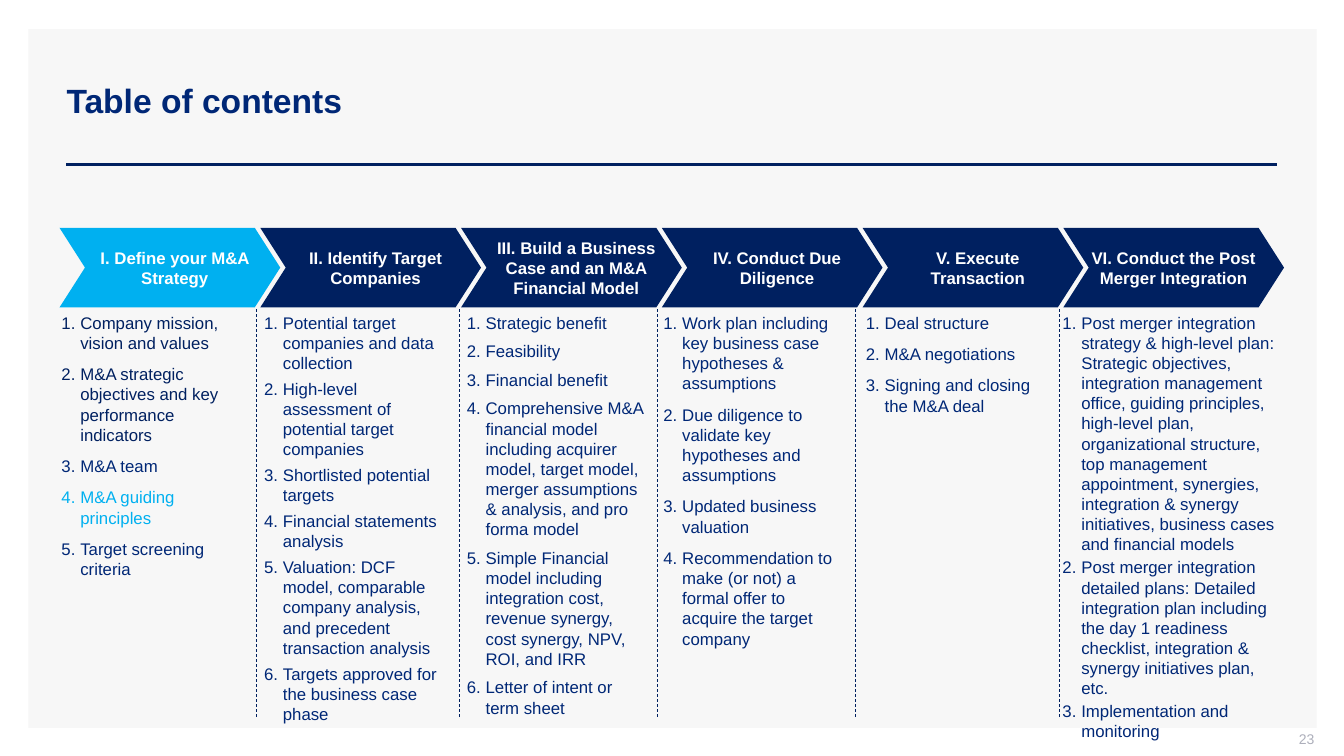
from dataclasses import dataclass

import lxml.etree
import pptx
import pptx.dml.color
import pptx.enum.dml
import pptx.enum.shapes
import pptx.enum.text
import pptx.oxml.ns
import pptx.util

Pt = pptx.util.Pt
Align = pptx.enum.text.PP_ALIGN
Anchor = pptx.enum.text.MSO_ANCHOR
AutoSize = pptx.enum.text.MSO_AUTO_SIZE
Preset = pptx.enum.shapes.MSO_SHAPE
qn = pptx.oxml.ns.qn


@dataclass(frozen=True)
class Theme:
    font: str = "Arial"
    panel: str = "F7F7F7"
    navy: str = "002060"
    blue: str = "002776"
    accent: str = "00B0F0"
    white: str = "FFFFFF"
    grey: str = "ADAFBB"
    title_size: int = 24
    text_size: int = 12
    number_size: int = 10


THEME = Theme()


def rgb(code):
    return pptx.dml.color.RGBColor.from_string(code)


def write(paragraph, text, *, color, size=THEME.text_size, bold=False,
          align=Align.LEFT, before=0, after=0, numbered=False):
    properties = paragraph._p.get_or_add_pPr()
    if numbered:
        properties.set("marL", str(Pt(13.5)))
        properties.set("indent", str(Pt(-13.5)))
        lxml.etree.SubElement(properties, qn("a:buFont"), typeface=THEME.font)
        lxml.etree.SubElement(properties, qn("a:buAutoNum"), type="arabicPeriod")
    paragraph.alignment = align
    paragraph.space_before = Pt(before)
    paragraph.space_after = Pt(after)
    run = paragraph.add_run()
    run.text = text
    run.font.name = THEME.font
    run.font.size = Pt(size)
    run.font.bold = bold
    run.font.color.rgb = rgb(color)


class SlideBuilder:
    def __init__(self, slide, theme):
        self.slide = slide
        self.theme = theme
        self.bodies = [holder for holder in slide.placeholders
                       if holder.placeholder_format.idx != 0]

    def place(self, shape, left, top, width, height):
        shape.left, shape.top = Pt(left), Pt(top)
        shape.width, shape.height = Pt(width), Pt(height)

    def frame(self, shape, insets, anchor):
        frame = shape.text_frame
        frame.word_wrap = True
        frame.vertical_anchor = anchor
        (frame.margin_left, frame.margin_top,
         frame.margin_right, frame.margin_bottom) = map(Pt, insets)
        return frame

    def block(self, preset, left, top, width, height, fill):
        block = self.slide.shapes.add_shape(
            preset, Pt(left), Pt(top), Pt(width), Pt(height))
        block.shadow.inherit = False
        block.fill.solid()
        block.fill.fore_color.rgb = rgb(fill)
        block.line.fill.background()
        return block

    def panel(self, left, top, width, height):
        """Draw the backdrop behind the placeholders."""
        panel = self.block(Preset.RECTANGLE, left, top, width, height, self.theme.panel)
        panel.element.getparent().insert(2, panel.element)

    def line(self, start, end, weight, dash=None):
        line = self.slide.shapes.add_connector(
            pptx.enum.shapes.MSO_CONNECTOR.STRAIGHT, *map(Pt, start + end))
        line.line.color.rgb = rgb(self.theme.navy)
        line.line.width = Pt(weight)
        if dash:
            line.line.dash_style = dash
        lxml.etree.SubElement(line.element.spPr, qn("a:effectLst"))

    def title(self, text, left, top, width, height):
        title = self.slide.shapes.title
        self.place(title, left, top, width, height)
        frame = self.frame(title, (7.2, 3.6, 7.2, 3.6), Anchor.MIDDLE)
        frame.auto_size = AutoSize.NONE
        write(frame.paragraphs[0], text, color=self.theme.blue,
              size=self.theme.title_size, bold=True)

    def chevron(self, text, left, top, width, height, fill, inset):
        chevron = self.block(Preset.CHEVRON, left, top, width, height, fill)
        chevron.adjustments[0] = 0.32
        frame = self.frame(chevron, (inset, 3.6, 0, 3.6), Anchor.MIDDLE)
        write(frame.paragraphs[0], text, color=self.theme.white,
              bold=True, align=Align.CENTER)

    def numbered_list(self, items, left, top, width, height, gap):
        """Fill the next body placeholder, or a text box once all are used."""
        if self.bodies:
            body = self.bodies.pop(0)
        else:
            body = self.slide.shapes.add_textbox(0, 0, 0, 0)
        self.place(body, left, top, width, height)
        frame = self.frame(body, (0, 3.6, 7.2, 3.6), Anchor.TOP)
        frame.auto_size = AutoSize.SHAPE_TO_FIT_TEXT
        for index, (text, color) in enumerate(items):
            paragraph = frame.add_paragraph() if index else frame.paragraphs[0]
            write(paragraph, text, color=color, numbered=True,
                  before=gap if index else 0, after=gap)

    def page_number(self, number, left, top, width, height):
        box = self.slide.shapes.add_textbox(Pt(left), Pt(top), Pt(width), Pt(height))
        frame = self.frame(box, (7.2, 0, 0, 3.6), Anchor.MIDDLE)
        write(frame.paragraphs[0], number, color=self.theme.grey,
              size=self.theme.number_size, align=Align.RIGHT)


# Heading, list left, list width, list height, paragraph gap, topics
PHASES = [
    ("I. Define your M&A Strategy", 43.9, 134.6, 222.5, 4, [
        "Company mission, vision and values",
        "M&A strategic objectives and key performance indicators",
        "M&A team",
        "M&A guiding principles",
        "Target screening criteria"]),
    ("II. Identify Target Companies", 188.6, 134.6, 303.8, 2, [
        "Potential target companies and data collection",
        "High-level assessment of potential target companies",
        "Shortlisted potential targets",
        "Financial statements analysis",
        "Valuation: DCF model, comparable company analysis, and precedent "
        "transaction analysis",
        "Targets approved for the business case phase"]),
    ("III. Build a Business Case and an M&A Financial Model", 333.4, 134.6, 309.6, 3, [
        "Strategic benefit",
        "Feasibility",
        "Financial benefit",
        "Comprehensive M&A financial model including acquirer model, target model, "
        "merger assumptions & analysis, and pro forma model",
        "Simple Financial model including integration cost, revenue synergy, "
        "cost synergy, NPV, ROI, and IRR",
        "Letter of intent or term sheet"]),
    ("IV. Conduct Due Diligence", 473.8, 134.6, 249.8, 4, [
        "Work plan including key business case hypotheses & assumptions",
        "Due diligence to validate key hypotheses and assumptions",
        "Updated business valuation",
        "Recommendation to make (or not) a formal offer to acquire the target company"]),
    ("V. Execute Transaction", 618.5, 134.6, 81.4, 4, [
        "Deal structure",
        "M&A negotiations",
        "Signing and closing the M&A deal"]),
    ("VI. Conduct the Post Merger Integration", 758.9, 167, 302.4, 1, [
        "Post merger integration strategy & high-level plan: Strategic objectives, "
        "integration management office, guiding principles, high-level plan, "
        "organizational structure, top management appointment, synergies, integration "
        "& synergy initiatives, business cases and financial models",
        "Post merger integration detailed plans: Detailed integration plan including "
        "the day 1 readiness checklist, integration & synergy initiatives plan, etc.",
        "Implementation and monitoring"]),
]
DIVIDERS = [182.9, 328.3, 469.4, 611.3, 756.7]
TOPIC_COLORS = {
    "Company mission, vision and values": THEME.navy,
    "M&A strategic objectives and key performance indicators": THEME.navy,
    "M&A guiding principles": THEME.accent,
}


def main():
    deck = pptx.Presentation()
    deck.slide_width, deck.slide_height = Pt(960), Pt(540)
    comparison_layout = deck.slide_layouts[4]
    builder = SlideBuilder(deck.slides.add_slide(comparison_layout), THEME)

    builder.panel(20.2, 20.9, 920.2, 499)
    builder.line((47.5, 117.4), (912.2, 117.4), 2)
    builder.title("Table of contents", 40.3, 28.8, 824.4, 85.7)
    builder.page_number("23", 722.9, 522, 216, 15.1)

    last = len(PHASES) - 1
    for index, (heading, left, width, height, gap, topics) in enumerate(PHASES):
        builder.chevron(heading, 42.5 + 143.4 * index, 162.7, 157.7, 56.9,
                        fill=THEME.navy if index else THEME.accent,
                        inset=0 if index == last else 7.2)
        items = [(topic, TOPIC_COLORS.get(topic, THEME.blue)) for topic in topics]
        builder.numbered_list(items, left, 219.6, width, height, gap)
    for x in DIVIDERS:
        builder.line((x, 221), (x, 513.4), 0.5, pptx.enum.dml.MSO_LINE.DASH)

    deck.save("out.pptx")


if __name__ == "__main__":
    main()
